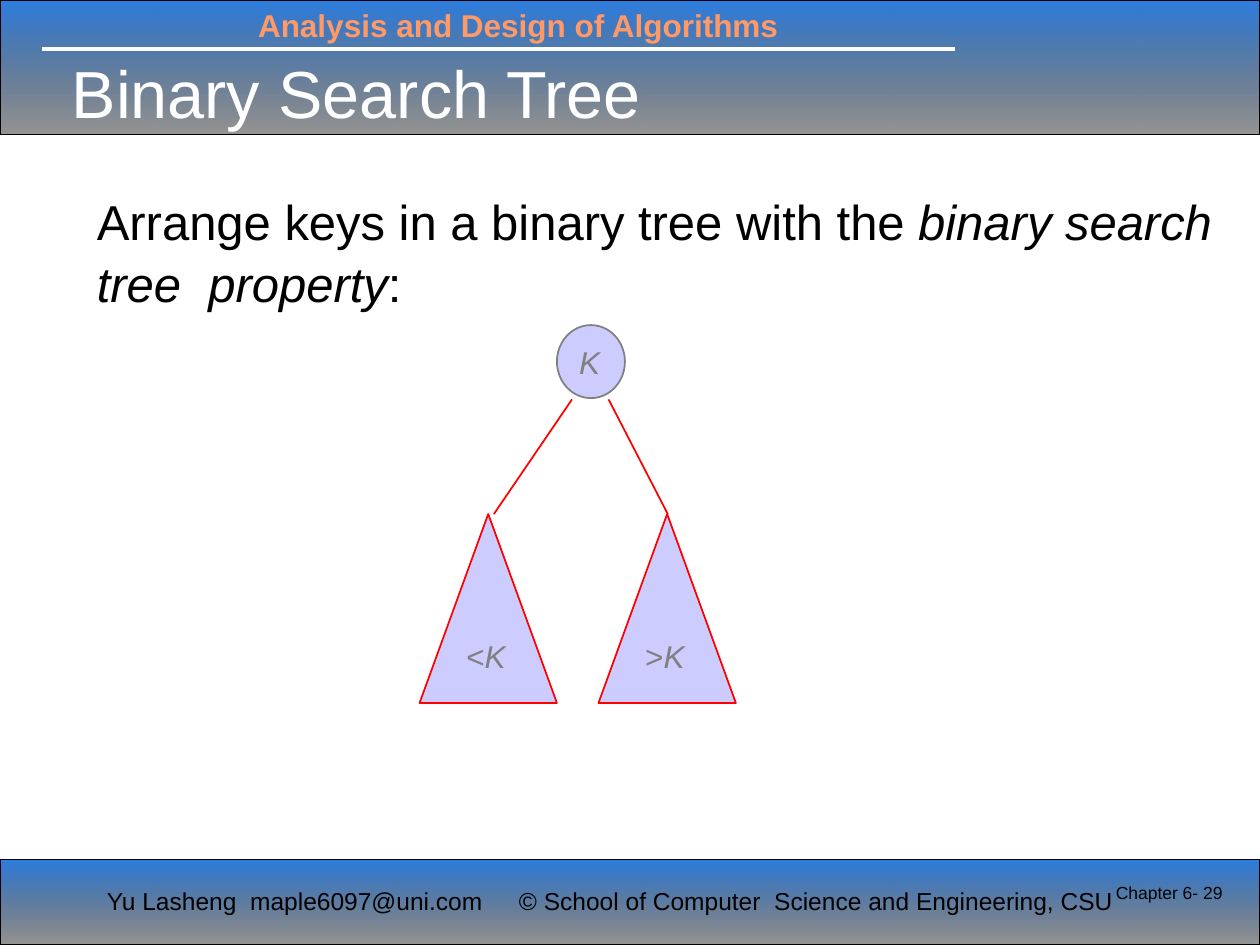
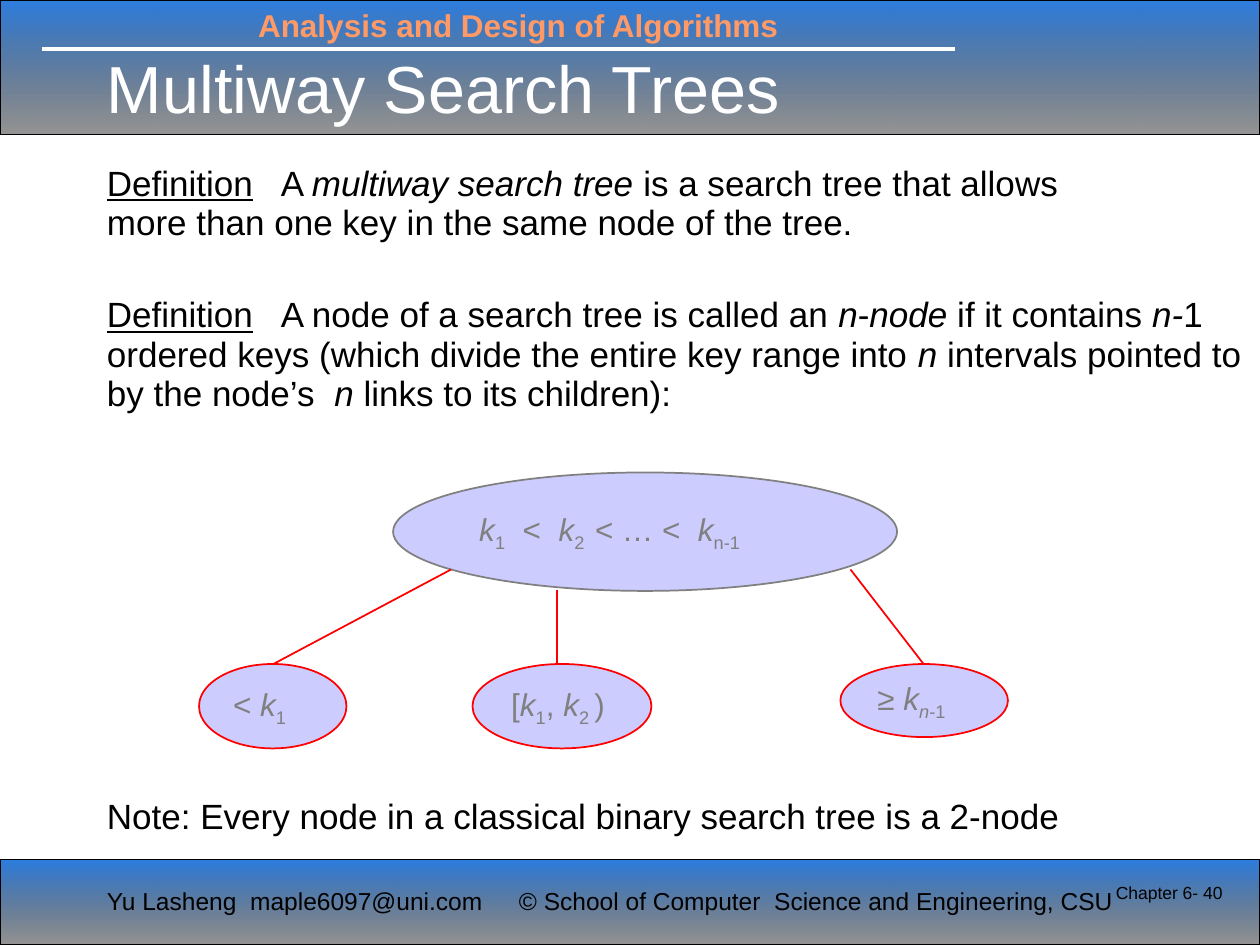
from lxml import etree
from pptx import Presentation
from pptx.dml.color import RGBColor
from pptx.enum import shapes, text
from pptx.oxml import ns
from pptx.util import Inches, Pt

BLACK, WHITE, GRAY, RED = "000000", "FFFFFF", "808080", "FF0000"
ORANGE, LILAC, BLUE = "FF9966", "CCCCFF", "0E6BDC"
ELLIPSE = shapes.MSO_SHAPE.OVAL
TRIANGLE = shapes.MSO_SHAPE.ISOSCELES_TRIANGLE


def color(value):
    return RGBColor.from_string(value)


class Deck:
    """Holds the lecture style and the slide being built."""

    def __init__(self):
        self.prs = Presentation()
        self.prs.slide_width, self.prs.slide_height = Inches(10), Inches(7.5)
        self.slide = None

    def start(self, number):
        self.slide = self.prs.slides.add_slide(self.prs.slide_layouts[6])
        self.band(0, 1.07)
        self.band(6.82, 0.68)
        self.line((0.33, 0.39), (7.58, 0.39), WHITE, 2.25)
        self.text((1.95, 0, 5, 0.4), ["Analysis and Design of Algorithms"], 18, ORANGE, bold=True)
        self.text((0.75, 6.98, 3.3, 0.34), ["Yu Lasheng  maple6097@uni.com"], 14)
        self.text((4.02, 6.98, 5.12, 0.34),
                  ["© School of Computer  Science and Engineering, CSU"], 14)
        page = self.text((8.62, 6.95, 1.18, 0.5), [f"Chapter 6- {number}"], 10)
        page.paragraphs[0].alignment = text.PP_ALIGN.RIGHT

    def shape(self, kind, box, outline, width):
        shape = self.slide.shapes.add_shape(kind, *map(Inches, box))
        shape.shadow.inherit = False
        shape.line.color.rgb = color(outline)
        shape.line.width = Pt(width)
        return shape

    def band(self, top, height):
        band = self.shape(shapes.MSO_SHAPE.RECTANGLE, (0, top, 10, height), BLACK, 0.75)
        band.fill.gradient()
        band.fill.gradient_angle = 270
        for stop, shade in zip(band.fill.gradient_stops, (BLUE, BLACK)):
            stop.color.rgb = color(shade)
        for tint, alpha in zip(band._element.spPr.iterfind(".//" + ns.qn("a:gs")), (88, 41)):
            etree.SubElement(tint[0], ns.qn("a:alpha"), val=str(alpha * 1000))

    def line(self, start, end, stroke=RED, width=1):
        line = self.slide.shapes.add_connector(
            shapes.MSO_CONNECTOR.STRAIGHT, *map(Inches, start + end))
        line.line.color.rgb = color(stroke)
        line.line.width = Pt(width)
        etree.SubElement(line._element.spPr, ns.qn("a:effectLst"))

    def add_pieces(self, paragraph, pieces, size, ink, bold=False):
        """Add pieces: plain strings, or (text, style) with i, u and s for subscript."""
        for piece in pieces:
            if piece == "\n":
                paragraph.add_line_break()
                continue
            words, style = (piece, "") if isinstance(piece, str) else piece
            run = paragraph.add_run()
            run.text = words
            font = run.font
            font.name, font.size, font.bold = "Arial", Pt(size), bold
            font.color.rgb = color(ink)
            font.italic = "i" in style
            font.underline = "u" in style
            if "s" in style:
                run._r.get_or_add_rPr().set("baseline", "-25000")

    def text(self, box, pieces, size, ink=BLACK, bold=False, spacing=None):
        frame = self.slide.shapes.add_textbox(*map(Inches, box)).text_frame
        frame.word_wrap = True
        self.add_pieces(frame.paragraphs[0], pieces, size, ink, bold)
        if spacing:
            frame.paragraphs[0].line_spacing = spacing
        return frame

    def title(self, box, words):
        self.text(box, [words], 38, WHITE).vertical_anchor = text.MSO_ANCHOR.MIDDLE

    def definitions(self, box, entries):
        frame = self.text(box, [], 20)
        for index, pieces in enumerate(entries):
            entry = frame.add_paragraph() if index else frame.paragraphs[0]
            tabs = etree.SubElement(entry._p.get_or_add_pPr(), ns.qn("a:tabLst"))
            etree.SubElement(tabs, ns.qn("a:tab"), pos=str(Inches(1.38)), algn="l")
            entry.line_spacing = 0.94
            if index:
                entry.space_before = Pt(30)
            self.add_pieces(entry, [("Definition", "u"), "\t"] + pieces, 20, BLACK)

    def node(self, kind, box, pieces, outline=RED):
        node = self.shape(kind, box, outline, 1)
        node.fill.solid()
        node.fill.fore_color.rgb = color(LILAC)
        frame = node.text_frame
        frame.word_wrap = False
        frame.vertical_anchor = text.MSO_ANCHOR.MIDDLE
        frame.paragraphs[0].alignment = text.PP_ALIGN.LEFT
        self.add_pieces(frame.paragraphs[0], pieces, 18, GRAY)


def binary_search_tree(deck):
    deck.start(29)
    deck.title((0.47, 0.39, 7.81, 0.68), "Binary Search Tree")
    deck.text((0.67, 1.45, 9.08, 1.1),
              ["Arrange keys in a binary tree with the ",
               ("binary search tree  property", "i"), ":"], 28, spacing=1.05)
    deck.node(ELLIPSE, (4.42, 2.58, 0.54, 0.58), [("K", "i")], GRAY)
    for left, sign, start, end in ((3.33, "<", 4.54, 3.92), (4.75, ">", 4.83, 5.3)):
        deck.line((start, 3.17), (end, 4.08))
        deck.node(TRIANGLE, (left, 4.08, 1.09, 1.5), [sign, ("K", "i")])


def multiway_search_trees(deck):
    deck.start(40)
    deck.title((0.75, 0.23, 8.5, 0.92), "Multiway Search Trees")
    deck.definitions((0.75, 1.26, 9.25, 2.1), [
        ["A ", ("multiway search tree", "i"), " is a search tree that allows", "\n",
         "more than one key in the same node of the tree."],
        ["A node of a search tree is called an ", ("n", "i"), "-", ("node", "i"),
         " if it contains ", ("n-", "i"),
         "1 ordered keys (which divide the entire key range into ", ("n", "i"),
         " intervals pointed to by the node’s ", (" n ", "i"), "links to its children):"],
    ])
    deck.text((0.75, 6.28, 9.25, 0.45),
              ["Note: Every node in a classical binary search tree is a 2-node"],
              20, spacing=0.94)
    key, first = ("k", "i"), ("1", "s")
    deck.node(ELLIPSE, (3.12, 3.75, 4, 0.94),
              [key, first, "  <  ", key, ("2  ", "s"), ("< ", "i"), "… <  ", key,
               ("n-1", "s")], GRAY)
    children = (
        ((1.58, 5.27, 1.17, 0.67), ["< ", key, first], (3.58, 4.52), 2.17),
        ((3.75, 5.27, 1.42, 0.67), ["[", key, first, ", ", key, ("2 ", "s"), ")"],
         (4.42, 4.68), 4.42),
        ((6.67, 5.27, 1.33, 0.58), ["≥ ", key, ("n-", "is"), first], (6.75, 4.52), 7.33),
    )
    for box, interval, link, end in children:
        deck.node(ELLIPSE, box, interval)
        deck.line(link, (end, 5.27))


def main():
    deck = Deck()
    binary_search_tree(deck)
    multiway_search_trees(deck)
    deck.prs.save("out.pptx")


if __name__ == "__main__":
    main()
